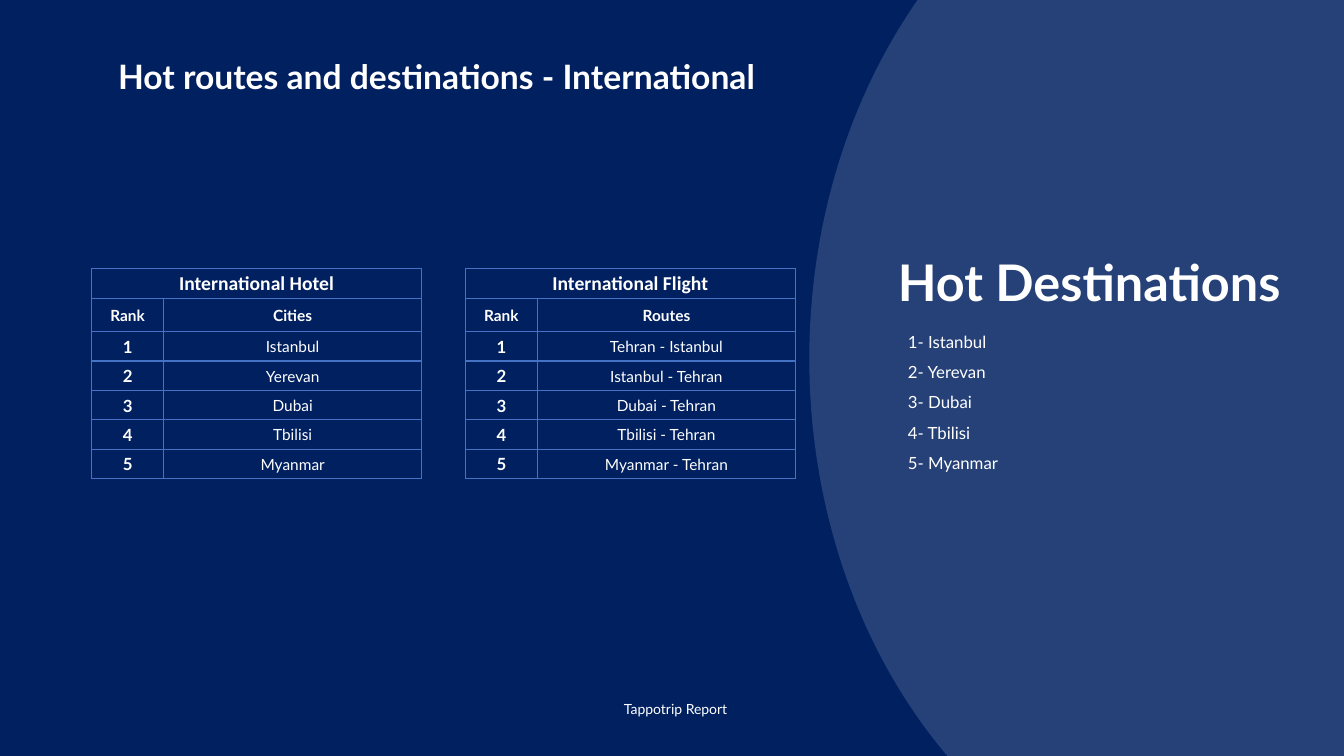
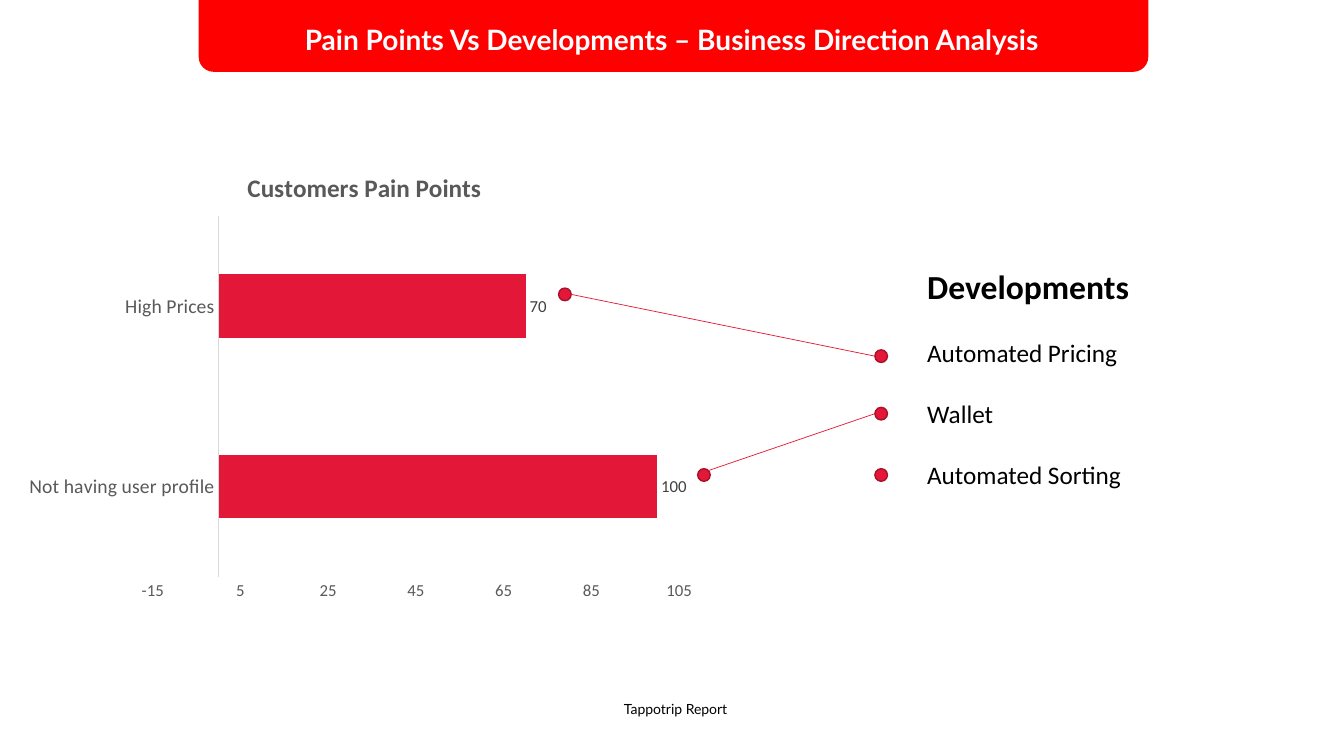
from lxml import etree
from pptx import Presentation
from pptx.chart.data import CategoryChartData
from pptx.dml.color import RGBColor
from pptx.enum.chart import XL_CHART_TYPE, XL_LABEL_POSITION, XL_TICK_MARK
from pptx.enum.shapes import MSO_CONNECTOR, MSO_SHAPE
from pptx.enum.text import MSO_ANCHOR, MSO_AUTO_SIZE, PP_ALIGN
from pptx.oxml.ns import qn
from pptx.util import Emu, Inches, Pt

LEFT, CENTER = PP_ALIGN.LEFT, PP_ALIGN.CENTER
TOP, MIDDLE = MSO_ANCHOR.TOP, MSO_ANCHOR.MIDDLE
ELLIPSE, ROUNDED = MSO_SHAPE.OVAL, MSO_SHAPE.ROUNDED_RECTANGLE
STRAIGHT = MSO_CONNECTOR.STRAIGHT
BAR = XL_CHART_TYPE.BAR_CLUSTERED
OUTSIDE = XL_LABEL_POSITION.OUTSIDE_END
NO_TICK = XL_TICK_MARK.NONE

NAVY = RGBColor(0x00, 0x20, 0x60)
WHITE = RGBColor(0xFF, 0xFF, 0xFF)
BLACK = RGBColor(0x00, 0x00, 0x00)
RED = RGBColor(0xFF, 0x00, 0x00)
CRIMSON = RGBColor(0xE3, 0x17, 0x37)
DARK_CRIMSON = RGBColor(0xA8, 0x11, 0x29)
BLUE = RGBColor(0x44, 0x72, 0xC4)
GRAY = RGBColor(0x59, 0x59, 0x59)
DARK_GRAY = RGBColor(0x40, 0x40, 0x40)
LIGHT_GRAY = RGBColor(0xD9, 0xD9, 0xD9)

LATO, CALIBRI = "Lato", "Calibri"
FOOTER = "Tappotrip Report"
COLUMNS, ROWS = 32, 18
WIDTH, HEIGHT = Inches(13.33), Inches(7.5)
DOT = 0.3


def across(columns):
    return Emu(round(columns * WIDTH / COLUMNS))


def down(rows):
    return Emu(round(rows * HEIGHT / ROWS))


def area(left, top, width, height):
    return across(left), down(top), across(width), down(height)


def style_font(font, size, color, name, bold=False):
    font.size, font.name, font.bold = Pt(size), name, bold
    font.color.rgb = color


def place_in_chart(element, **shares):
    """Fix a chart part at the given shares of the chart's size."""
    layout = element.find(qn("c:layout"))
    if layout is None:
        layout = etree.Element(qn("c:layout"))
        element.insert(0, layout)
    manual = etree.SubElement(layout, qn("c:manualLayout"))
    settings = {"xMode": "edge", "yMode": "edge", **shares}
    if "w" in shares:
        settings = {"layoutTarget": "inner", **settings}
    for key, value in settings.items():
        etree.SubElement(manual, qn(f"c:{key}")).set("val", str(value))


def outline_cell(cell, color):
    properties = cell._tc.get_or_add_tcPr()
    for side in ("lnL", "lnR", "lnT", "lnB"):
        line = etree.SubElement(properties, qn(f"a:{side}"), w=str(Pt(1)))
        fill = etree.SubElement(line, qn("a:solidFill"))
        etree.SubElement(fill, qn("a:srgbClr"), val=str(color))


class Report:
    def __init__(self):
        self.deck = Presentation()
        self.deck.slide_width, self.deck.slide_height = WIDTH, HEIGHT
        self.page = None
        self.ink = BLACK

    def add_page(self, background, ink):
        """Start a title-only slide with its background and footer."""
        self.page = self.deck.slides.add_slide(self.deck.slide_layouts[5])
        self.ink = ink
        fill = self.page.background.fill
        fill.solid()
        fill.fore_color.rgb = background
        self.text([FOOTER], (14.62, 16.56, 3.22, 0.65), 10)

    def fill_frame(self, frame, lines, size, color, font=LATO, bold=False,
                   align=LEFT, spacing=1.0, anchor=TOP):
        frame.text = "\n".join(lines)
        frame.word_wrap = True
        frame.auto_size = MSO_AUTO_SIZE.NONE
        frame.vertical_anchor = anchor
        for para in frame.paragraphs:
            para.alignment, para.line_spacing = align, spacing
            for span in para.runs:
                style_font(span.font, size, color, font, bold)

    def title(self, words, place, size, color, **style):
        box = self.page.shapes.title
        box.left, box.top, box.width, box.height = area(*place)
        self.fill_frame(box.text_frame, [words], size, color, bold=True, **style)
        return box

    def text(self, lines, place, size, **style):
        box = self.page.shapes.add_textbox(*area(*place))
        self.fill_frame(box.text_frame, lines, size, self.ink, **style)
        return box

    def shape(self, kind, place, color, line=None, opacity=None):
        shape = self.page.shapes.add_shape(kind, *area(*place))
        shape.shadow.inherit = False
        shape.fill.solid()
        shape.fill.fore_color.rgb = color
        if line is None:
            shape.line.fill.background()
        else:
            shape.line.color.rgb = line
            shape.line.width = Pt(1)
        if opacity is not None:
            tint = shape._element.spPr.find(qn("a:solidFill"))[0]
            etree.SubElement(tint, qn("a:alpha"), val=str(opacity * 1000))
        return shape

    def band(self, place, color):
        """Draw a band behind the slide's title."""
        band = self.shape(ROUNDED, place, color)
        self.page.shapes.title._element.addprevious(band._element)

    def dot(self, left, top):
        return self.shape(ELLIPSE, (left, top, DOT, DOT), CRIMSON, DARK_CRIMSON)

    def link(self, start, end, share_x, share_y):
        """Join the left of one dot to a point of another, in shares of its size."""
        line = self.page.shapes.add_connector(
            STRAIGHT, start.left, start.top + start.height // 2,
            end.left + round(end.width * share_x),
            end.top + round(end.height * share_y))
        line.line.color.rgb = CRIMSON
        line.line.width = Pt(0.5)
        etree.SubElement(line._element.spPr, qn("a:effectLst"))

    def ranking(self, left, top, heading, label, names):
        rows = [(heading, ""), ("Rank", label)]
        rows += [(str(rank), name) for rank, name in enumerate(names, 1)]
        widths = (1.72, 6.14)
        heights = [0.7, 0.8] + [0.7] * len(names)
        place = area(left, top, sum(widths), sum(heights))
        table = self.page.shapes.add_table(len(rows), 2, *place).table
        table.first_row = table.horz_banding = False
        for column, width in zip(table.columns, widths):
            column.width = across(width)
        for r, (row, height) in enumerate(zip(rows, heights)):
            table.rows[r].height = down(height)
            for c, words in enumerate(row):
                cell = table.cell(r, c)
                cell.margin_left = cell.margin_right = Inches(0.01)
                cell.margin_top, cell.margin_bottom = Inches(0.01), 0
                cell.vertical_anchor = MIDDLE
                outline_cell(cell, BLUE)
                cell.fill.background()
                para = cell.text_frame.paragraphs[0]
                para.text, para.alignment = words, CENTER
                size = 14 if r == 0 else 12 if r > 1 and c == 0 else 11
                for span in para.runs:
                    style_font(span.font, size, self.ink,
                               CALIBRI if r == 0 else LATO, r < 2 or c == 0)
        table.cell(0, 0).merge(table.cell(0, 1))

    def bar_chart(self, place, title, values):
        data = CategoryChartData()
        data.categories = list(values)
        data.add_series("Series 1", list(values.values()))
        chart = self.page.shapes.add_chart(BAR, *area(*place), data).chart
        style_font(chart.font, 10, BLACK, CALIBRI)
        chart.has_legend = False
        chart.has_title = True
        heading = chart.chart_title.text_frame
        heading.text = title
        style_font(heading.paragraphs[0].runs[0].font, 18, GRAY, CALIBRI, True)
        place_in_chart(chart.chart_title._element, x=0.33, y=0.04)
        place_in_chart(chart._chartSpace.chart.plotArea,
                       x=0.2, y=0.15, w=0.76, h=0.78)

        for axis, size in ((chart.category_axis, 14), (chart.value_axis, 12)):
            axis.has_major_gridlines = False
            axis.major_tick_mark = axis.minor_tick_mark = NO_TICK
            style_font(axis.tick_labels.font, size, GRAY, CALIBRI)
        chart.category_axis.format.line.color.rgb = LIGHT_GRAY
        chart.category_axis.format.line.width = Pt(0.75)
        scale = chart.value_axis
        scale.format.line.fill.background()
        scale.minimum_scale, scale.maximum_scale = -15, 105
        scale.major_unit = 20

        plot = chart.plots[0]
        plot.gap_width = 182
        plot.vary_by_categories = False
        bars = plot.series[0].format.fill
        bars.solid()
        bars.fore_color.rgb = CRIMSON
        plot.has_data_labels = True
        labels = plot.data_labels
        labels.show_value, labels.position = True, OUTSIDE
        style_font(labels.font, 12, DARK_GRAY, CALIBRI)


def add_destinations(report):
    cities = ["Istanbul", "Yerevan", "Dubai", "Tbilisi", "Myanmar"]
    routes = ["Tehran - Istanbul", "Istanbul - Tehran", "Dubai - Tehran",
              "Tbilisi - Tehran", "Myanmar - Tehran"]
    rankings = [("International Hotel", "Cities", cities),
                ("International Flight", "Routes", routes)]
    report.add_page(NAVY, WHITE)
    report.title("Hot routes and destinations - International",
                 (2.57, 0.74, 18, 1.7), 24, WHITE, align=LEFT, spacing=1.5)
    for index, ranking in enumerate(rankings):
        report.ranking(2.18 + 8.9 * index, 6.4, *ranking)
    report.shape(ELLIPSE, (19.27, -4.61, 21.53, 26.3), WHITE, opacity=15)
    report.text([f"{rank}- {city}" for rank, city in enumerate(cities, 1)],
                (21.38, 7.54, 10.15, 3.82), 12, spacing=1.5)
    report.text(["Hot Destinations"], (19.97, 5.86, 11.93, 1.7), 36,
                bold=True, align=CENTER)


def add_pain_points(report):
    report.add_page(WHITE, BLACK)
    title = report.title("Pain Points Vs Developments – Business Direction Analysis",
                         (3.84, 0.53, 24.31, 0.82), 20, WHITE,
                         align=CENTER, anchor=MIDDLE)
    frame = title.text_frame
    frame.margin_left = frame.margin_right = 0
    frame.margin_top = frame.margin_bottom = 0
    report.band((4.73, -0.43, 22.61, 2.14), RED)
    report.bar_chart((0.34, 3.5, 16.49, 11), "Customers Pain Points",
                     {"Not having user profile": 100, "High Prices": 70})

    box = report.text(["Developments", "Automated Pricing", "Wallet",
                       "Automated Sorting"],
                      (21.84, 6.22, 6, 5.57), 18, font=CALIBRI)
    heading, *items = box.text_frame.paragraphs
    style_font(heading.runs[0].font, 24, BLACK, CALIBRI, True)
    for item in items:
        item.space_before = Pt(22)

    pricing, wallet, _ = [report.dot(20.83, top) for top in (8.33, 9.7, 11.16)]
    high_prices = report.dot(13.3, 6.86)
    no_profile = report.dot(16.61, 11.16)
    report.link(pricing, high_prices, 1, 0.5)
    report.link(wallet, no_profile, 0.85, 0.15)


def main():
    report = Report()
    add_destinations(report)
    add_pain_points(report)
    report.deck.save("out.pptx")


if __name__ == "__main__":
    main()
